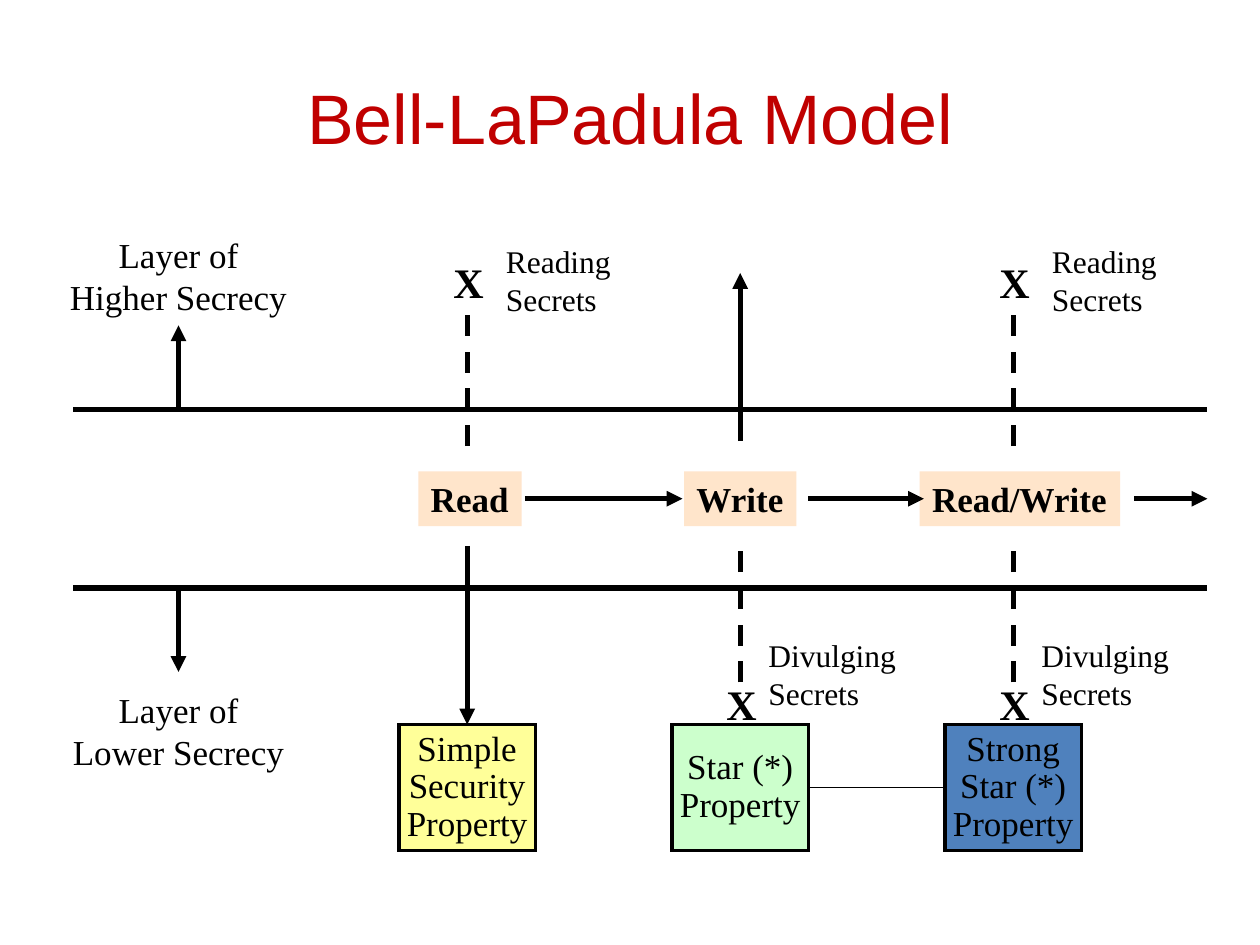
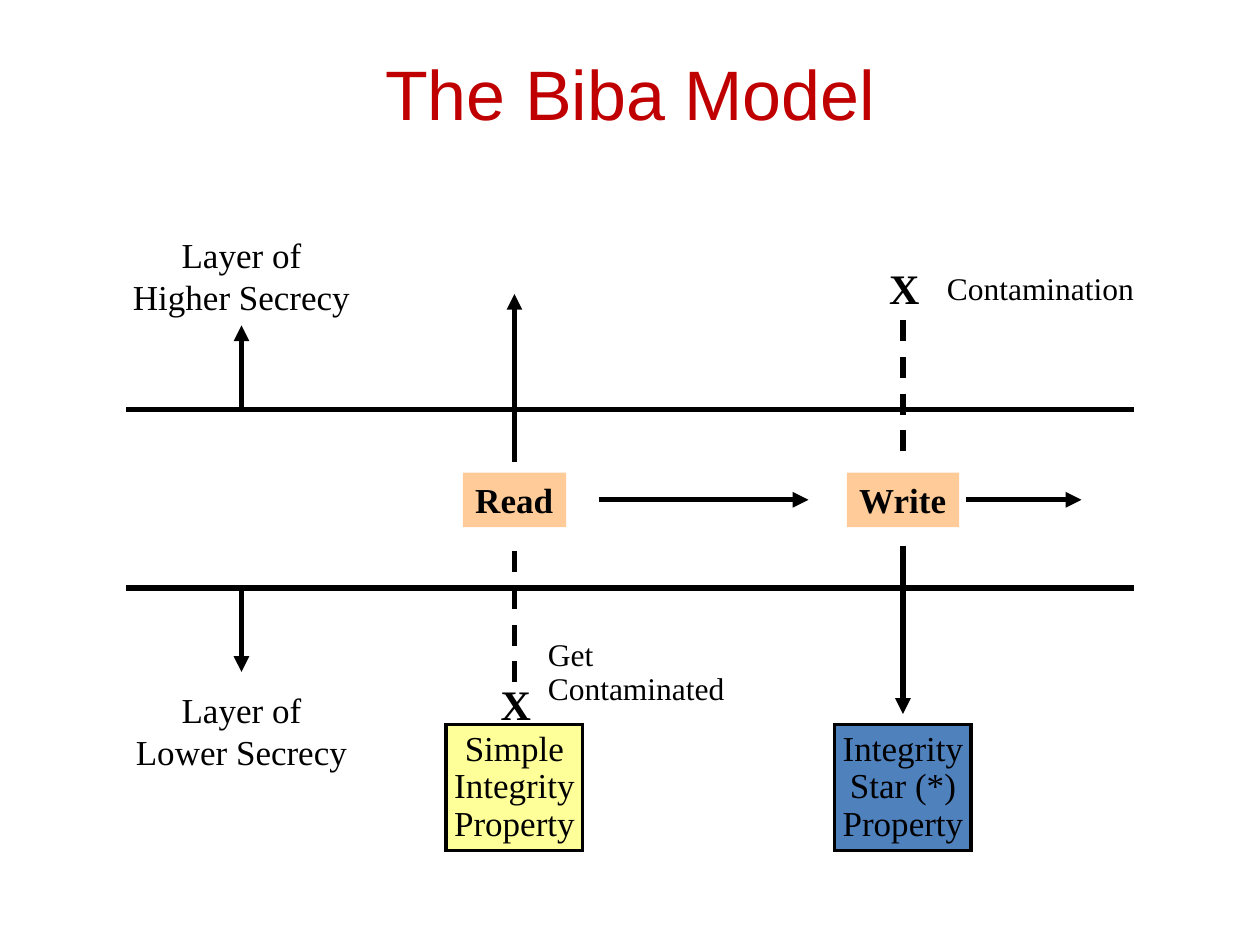
from pptx import Presentation
from pptx.dml.color import RGBColor
from pptx.enum.dml import MSO_LINE_DASH_STYLE as Dash
from pptx.enum.shapes import MSO_CONNECTOR as Connector, MSO_SHAPE as Shape
from pptx.enum.text import MSO_ANCHOR as Anchor, MSO_AUTO_SIZE as AutoSize, PP_ALIGN as Align
from pptx.oxml.ns import qn
from pptx.util import Inches, Pt
from lxml.etree import SubElement

# Shared look; every length below is in grid cells, twelve to the inch
CELL = Inches(1) / 12
COLUMNS, ROWS = 120, 90
BLACK, RED, PEACH = "000000", "C00000", "FFCC99"
YELLOW, GREEN, BLUE = "FFFF99", "CCFFCC", "4F81BD"
UPPER, LOWER = 39, 56            # rows of the two layer boundaries
LAYER_WIDTH = 25
PROPERTY_TOP, PROPERTY_WIDTH, PROPERTY_HEIGHT = 69, 13, 12
rgb = RGBColor.from_string


def write(page, text, left, top, width, height, size=20, font="Times New Roman",
          color=BLACK, bold=False, align=Align.LEFT, anchor=Anchor.TOP, spacing=None,
          before=None, wrap=False, grow=True, fill=None, alpha=None, border=None):
    area = [round(value * CELL) for value in (left, top, width, height)]
    if fill:
        box = page.shapes.add_shape(Shape.RECTANGLE, *area)
        box.shadow.inherit = False
        box.fill.solid()
        box.fill.fore_color.rgb = rgb(fill)
        if alpha:
            tint = box.fill._xPr.find(qn("a:solidFill"))[0]
            SubElement(tint, qn("a:alpha"), val=str(alpha * 1000))
        if border:
            box.line.color.rgb = rgb(BLACK)
            box.line.width = Pt(border)
            SubElement(box.line._get_or_add_ln(), qn("a:miter"), lim="800000")
        else:
            box.line.fill.background()
    else:
        box = page.shapes.add_textbox(*area)
    frame = box.text_frame
    frame.word_wrap = wrap
    frame.auto_size = AutoSize.SHAPE_TO_FIT_TEXT if grow else AutoSize.NONE
    frame.vertical_anchor = anchor
    for number, line in enumerate(text.split("\n")):
        para = frame.add_paragraph() if number else frame.paragraphs[0]
        para.alignment, para.line_spacing, para.space_before = align, spacing, before
        span = para.add_run()
        span.text = line
        span.font.name, span.font.size, span.font.bold = font, Pt(size), bold
        span.font.color.rgb = rgb(color)


def draw_line(page, x1, y1, x2, y2, width=3, dashed=False, arrow=False):
    ends = [round(value * CELL) for value in (x1, y1, x2, y2)]
    link = page.shapes.add_connector(Connector.STRAIGHT, *ends)
    link.line.color.rgb = rgb(BLACK)
    link.line.width = Pt(width)
    if dashed:
        link.line.dash_style = Dash.DASH
    if arrow:
        SubElement(link.line._get_or_add_ln(), qn("a:tailEnd"), type="triangle")
    SubElement(link._element.spPr, qn("a:effectLst"))


# Properties: centre, fill, text
# Tags: centre, width, text
# Arrows: centre, first row, last row
# Blocked: centre, bottom row, top row, top of the cross
# Remarks: left, top, width, height, line spacing, text
models = [
    dict(title="Bell-LaPadula Model", title_top=3.6, title_height=15,
         layer_center=17, edges=(7, 115), flow_row=47.5, tag_top=44.9, tag_alpha=51,
         properties=[(44.5, YELLOW, "Simple\nSecurity\nProperty"),
                     (70.5, GREEN, "Star (*)\nProperty"),
                     (96.5, BLUE, "Strong\nStar (*)\nProperty")],
         property_links=[(77, 90)],
         tags=[(44.76, 9.84, "Read"), (70.5, 10.7, "Write"), (97.14, 19.1, "Read/Write")],
         arrows=[(44.5, 52, 69), (70.5, 42, 26)],
         blocked=[(center, 42.5, 29.5, 23.8) for center in (44.5, 96.5)]
         + [(center, 65, 52, 64) for center in (70.5, 96.5)],
         flows=[(50, 65), (77, 88), (108, 115)],
         remarks=[(left, 22.5, 12.4, 8.4, None, "Reading\nSecrets") for left in (47, 99)]
         + [(left, 60, 14.6, 8.4, None, "Divulging\nSecrets") for left in (72, 98)]),
    dict(title="The Biba Model", title_top=2.8, title_height=12,
         layer_center=23, edges=(12, 108), flow_row=47.6, tag_top=45, tag_alpha=None,
         properties=[(49, YELLOW, "Simple\nIntegrity\nProperty"),
                     (86, BLUE, "Integrity\nStar (*)\nProperty")],
         property_links=[],
         tags=[(49, 9.84, "Read"), (86, 10.7, "Write")],
         arrows=[(49, 44, 28), (86, 52, 68)],
         blocked=[(49, 65, 52, 64), (86, 43, 30, 24.4)],
         flows=[(57, 77), (92, 103)],
         remarks=[(89, 25, 20.3, 4.8, None, "Contamination"),
                  (51, 60.25, 19.2, 7.7, 0.9, "Get\nContaminated")]),
]

deck = Presentation()
deck.slide_width, deck.slide_height = round(COLUMNS * CELL), round(ROWS * CELL)

for model in models:
    page = deck.slides.add_slide(deck.slide_layouts[6])
    write(page, model["title"], 6, model["title_top"], COLUMNS - 12, model["title_height"],
          size=40, font="Arial", color=RED, align=Align.CENTER, anchor=Anchor.MIDDLE,
          wrap=True, grow=False)

    # Property boxes
    for center, fill, text in model["properties"]:
        write(page, text, center - PROPERTY_WIDTH / 2, PROPERTY_TOP, PROPERTY_WIDTH,
              PROPERTY_HEIGHT, align=Align.CENTER, anchor=Anchor.MIDDLE, spacing=0.9,
              grow=False, fill=fill, border=2)
    for start, end in model["property_links"]:
        middle = PROPERTY_TOP + PROPERTY_HEIGHT / 2
        draw_line(page, start, middle, end, middle, width=0.75)

    # Layers: names, arrows pointing away, boundaries
    center = model["layer_center"]
    for name, top, boundary, tip in (("Higher", 21.6, UPPER, 31), ("Lower", 65, LOWER, 64)):
        write(page, f"Layer of\n{name} Secrecy", center - LAYER_WIDTH / 2, top,
              LAYER_WIDTH, 9.3, align=Align.CENTER)
        draw_line(page, center, boundary, center, tip, arrow=True)
        draw_line(page, model["edges"][0], boundary, model["edges"][1], boundary)

    # Operations and the flow between them
    for center, width, text in model["tags"]:
        write(page, text, center - width / 2, model["tag_top"], width, 5.2, bold=True,
              fill=PEACH, alpha=model["tag_alpha"])
    for start, end in model["flows"]:
        draw_line(page, start, model["flow_row"], end, model["flow_row"], arrow=True)

    # Allowed paths end in an arrow, blocked ones in a cross
    for center, start, end in model["arrows"]:
        draw_line(page, center, start, center, end, arrow=True)
    for center, bottom, top, cross_top in model["blocked"]:
        draw_line(page, center, bottom, center, top, dashed=True)
        write(page, "Χ", center - 2.5, cross_top, 5, 6, size=24, bold=True,
              before=Pt(3), wrap=True)

    # Remarks beside the crosses
    for left, top, width, height, spacing, text in model["remarks"]:
        write(page, text, left, top, width, height, size=18, spacing=spacing)

deck.save("out.pptx")
